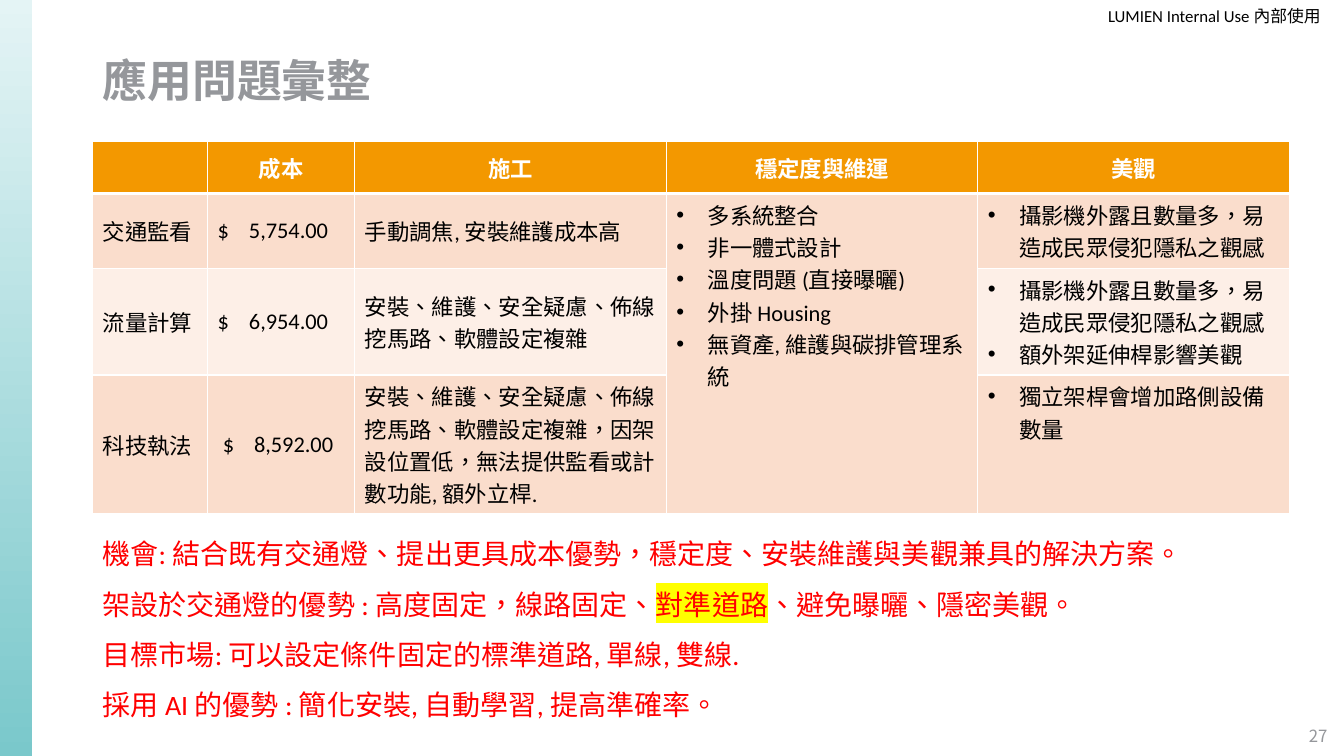
from lxml.etree import SubElement as Sub
from pptx import Presentation
from pptx.dml.color import RGBColor as RGB
from pptx.enum.shapes import MSO_SHAPE as Shape
from pptx.enum.text import MSO_ANCHOR as Anchor, PP_ALIGN as Align
from pptx.oxml.ns import qn
from pptx.util import Emu, Inches, Pt

WIDE, HIGH = Inches(13.33), Inches(7.5)
BLACK, WHITE = RGB(0, 0, 0), RGB(255, 255, 255)
RED, YELLOW = RGB(255, 0, 0), RGB(255, 255, 0)
GRAY, ORANGE = RGB(0x95, 0x97, 0x9B), RGB(0xF3, 0x98, 0x00)
PEACH, CREAM = RGB(0xFA, 0xDD, 0xCC), RGB(0xFD, 0xEF, 0xE7)
MINT, TEAL = RGB(0xE4, 0xF4, 0xF5), RGB(0x7A, 0xC8, 0xCB)
LATIN, HAN, DIGIT = "Calibri", "Noto Sans CJK TC", "Noto Sans CJK SC"
INDENT = Inches(0.31)

COLS = [1.14, 1.46, 3.09, 3.09, 3.09]
ROWS = [0.52, 0.74, 1.06, 1.38]
HEADS = ["", "成本", "施工", "穩定度與維運", "美觀"]
PRIVACY = "攝影機外露且數量多，易造成民眾侵犯隱私之觀感"
WIRING = "安裝、維護、安全疑慮、佈線挖馬路、軟體設定複雜"
UPKEEP = ["多系統整合", "非一體式設計", "溫度問題 (直接曝曬)", "外掛 Housing",
          "無資產, 維護與碳排管理系統"]
CASES = [
    ("交通監看", "$\t5,754.00", "手動調焦, 安裝維護成本高", UPKEEP, [PRIVACY]),
    ("流量計算", "$\t6,954.00", WIRING, [], [PRIVACY, "額外架延伸桿影響美觀"]),
    ("科技執法", "$\t8,592.00",
     WIRING + "，因架設位置低，無法提供監看或計數功能, 額外立桿.", [],
     ["獨立架桿會增加路側設備數量"]),
]
POINTS = [
    [("機會: 結合既有交通燈、提出更具成本優勢，穩定度、安裝維護與美觀兼具的解決方案。", None)],
    [("架設於交通燈的優勢 : 高度固定，線路固定、", None), ("對準道路", YELLOW),
     ("、避免曝曬、隱密美觀。", None)],
    [("目標市場: 可以設定條件固定的標準道路, 單線, 雙線.", None)],
    [("採用 AI 的優勢 : 簡化安裝, 自動學習, 提高準確率。", None)],
]


def area(left, top, width, height):
    return [Emu(round(share * side / 100)) for share, side in
            zip((left, top, width, height), (WIDE, HIGH, WIDE, HIGH))]


def write(para, text, size, color, bold=False, face=LATIN, han=HAN, mark=None):
    run = para.add_run()
    run.text = text
    font = run.font
    font.size, font.bold = Pt(size), bold
    font.color.rgb = color
    props = run._r.get_or_add_rPr()
    props.set("lang", "zh-TW")
    if mark is not None:
        light = Sub(props, qn("a:highlight"))
        Sub(light, qn("a:srgbClr"), val=str(mark))
    font.name = face
    Sub(props, qn("a:ea"), typeface=han)


def frame(slide, box, anchor=Anchor.MIDDLE):
    text = slide.shapes.add_textbox(*box).text_frame
    text.word_wrap = True
    text.vertical_anchor = anchor
    return text


def band(slide, box):
    bar = slide.shapes.add_shape(Shape.RECTANGLE, *box)
    bar.shadow.inherit = False
    bar.line.fill.background()
    bar.fill.gradient()
    bar.fill.gradient_angle = 270
    for stop, color, place in zip(bar.fill.gradient_stops, (MINT, TEAL), (0, 1)):
        stop.color.rgb = color
        stop.position = place


def label(slide, box):
    text = frame(slide, box)
    text.margin_left = text.margin_top = text.margin_bottom = 0
    text.margin_right = Inches(0.23)
    para = text.paragraphs[0]
    para.alignment = Align.RIGHT
    write(para, "LUMIEN Internal Use 內部使用", 12, BLACK)


def title(slide, box):
    para = frame(slide, box).paragraphs[0]
    para.line_spacing = 0.9
    write(para, "應用問題彙整", 32, GRAY, True, HAN)


def number(slide, box):
    para = frame(slide, box).paragraphs[0]
    para.alignment = Align.CENTER
    write(para, "27", 12, GRAY, face=DIGIT, han=DIGIT)


def edge(cell, base):
    props = cell._tc.get_or_add_tcPr()
    widths = {"L": 1, "R": 1, "T": 1, "B": base}
    for spot, (side, width) in enumerate(widths.items()):
        line = Sub(props, qn("a:ln" + side), w=str(Pt(width)))
        fill = Sub(line, qn("a:solidFill"))
        Sub(fill, qn("a:srgbClr"), val=str(WHITE))
        props.insert(spot, line)


def bullets(cell, items):
    text = cell.text_frame
    for spot, item in enumerate(items):
        para = text.add_paragraph() if spot else text.paragraphs[0]
        props = para._p.get_or_add_pPr()
        props.set("marL", str(INDENT))
        props.set("indent", str(-INDENT))
        Sub(props, qn("a:buFont"), typeface="Arial")
        Sub(props, qn("a:buChar"), char="•")
        write(para, item, 16, BLACK)


def price(cell, shift):
    cell.margin_left = Inches(0.1 + shift)
    props = cell.text_frame.paragraphs[0]._p.get_or_add_pPr()
    tabs = Sub(props, qn("a:tabLst"))
    Sub(tabs, qn("a:tab"), pos=str(INDENT), algn="l")


def grid(slide, box):
    table = slide.shapes.add_table(len(ROWS), len(COLS), *box).table
    for col, part in zip(table.columns, COLS):
        col.width = Emu(round(box[2] * part / sum(COLS)))
    for row, part in zip(table.rows, ROWS):
        row.height = Emu(round(box[3] * part / sum(ROWS)))
    for r, values in enumerate([HEADS] + CASES):
        for c, value in enumerate(values):
            cell = table.cell(r, c)
            cell.fill.solid()
            cell.fill.fore_color.rgb = (ORANGE, PEACH, CREAM, PEACH)[r]
            edge(cell, 1 if r else 3)
            if isinstance(value, list):
                bullets(cell, value)
                continue
            cell.vertical_anchor = Anchor.MIDDLE
            para = cell.text_frame.paragraphs[0]
            if r == 0:
                para.alignment = Align.CENTER
            elif c == 1:
                price(cell, 0.05 if r == 3 else 0)
            if value:
                write(para, value, 16, BLACK if r else WHITE, r == 0)
    table.cell(1, 3).merge(table.cell(3, 3))


def points(slide, box):
    text = frame(slide, box, Anchor.TOP)
    for spot, parts in enumerate(POINTS):
        para = text.add_paragraph() if spot else text.paragraphs[0]
        para.line_spacing = 1.5
        for words, mark in parts:
            write(para, words, 20, RED, mark=mark)


def main():
    deck = Presentation()
    deck.slide_width, deck.slide_height = WIDE, HIGH
    slide = deck.slides.add_slide(deck.slide_layouts[6])
    label(slide, area(81.25, 0, 18.75, 4.27))
    band(slide, area(0, 0, 2.4, 100))
    title(slide, area(6.9, 5.33, 86.27, 11.33))
    number(slide, area(96.47, 94.67, 3.23, 5.33))
    grid(slide, area(6.9, 18.67, 89.05, 49.33))
    points(slide, area(6.9, 68.13, 87.7, 27.6))
    deck.save("out.pptx")


if __name__ == "__main__":
    main()
